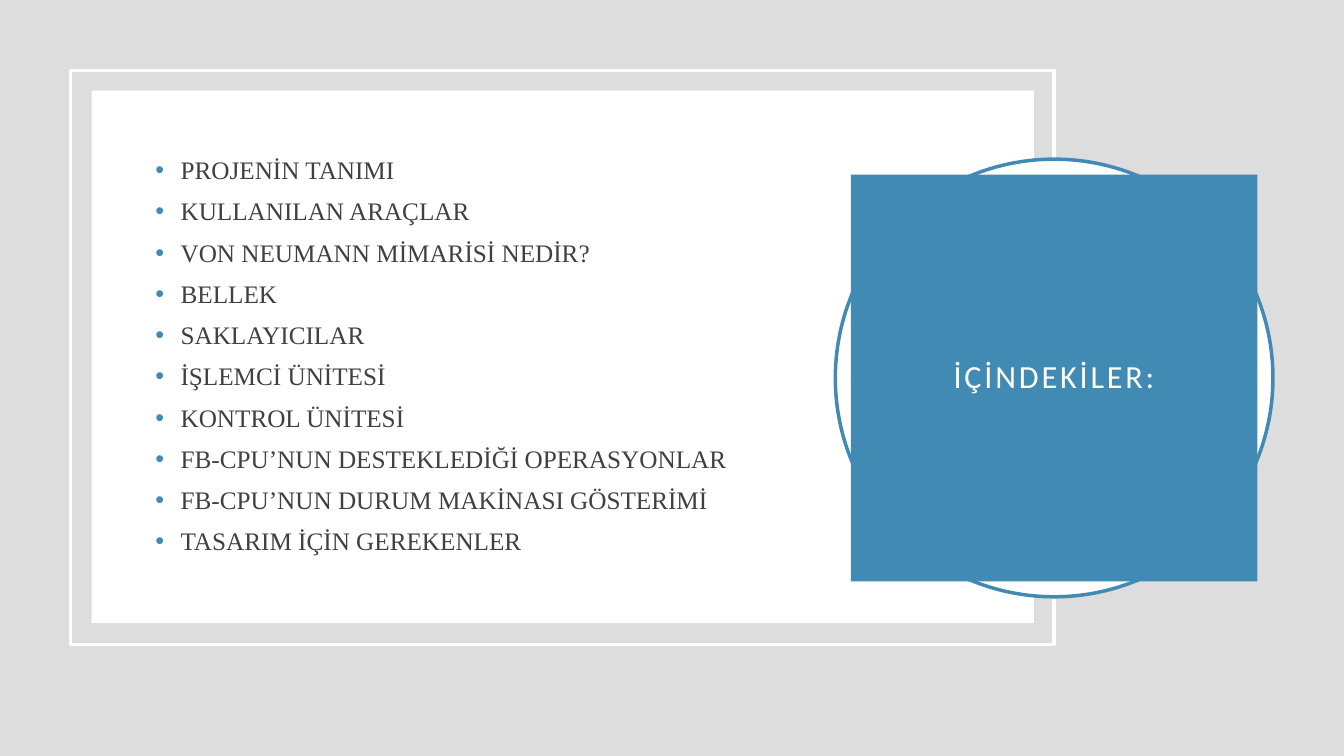
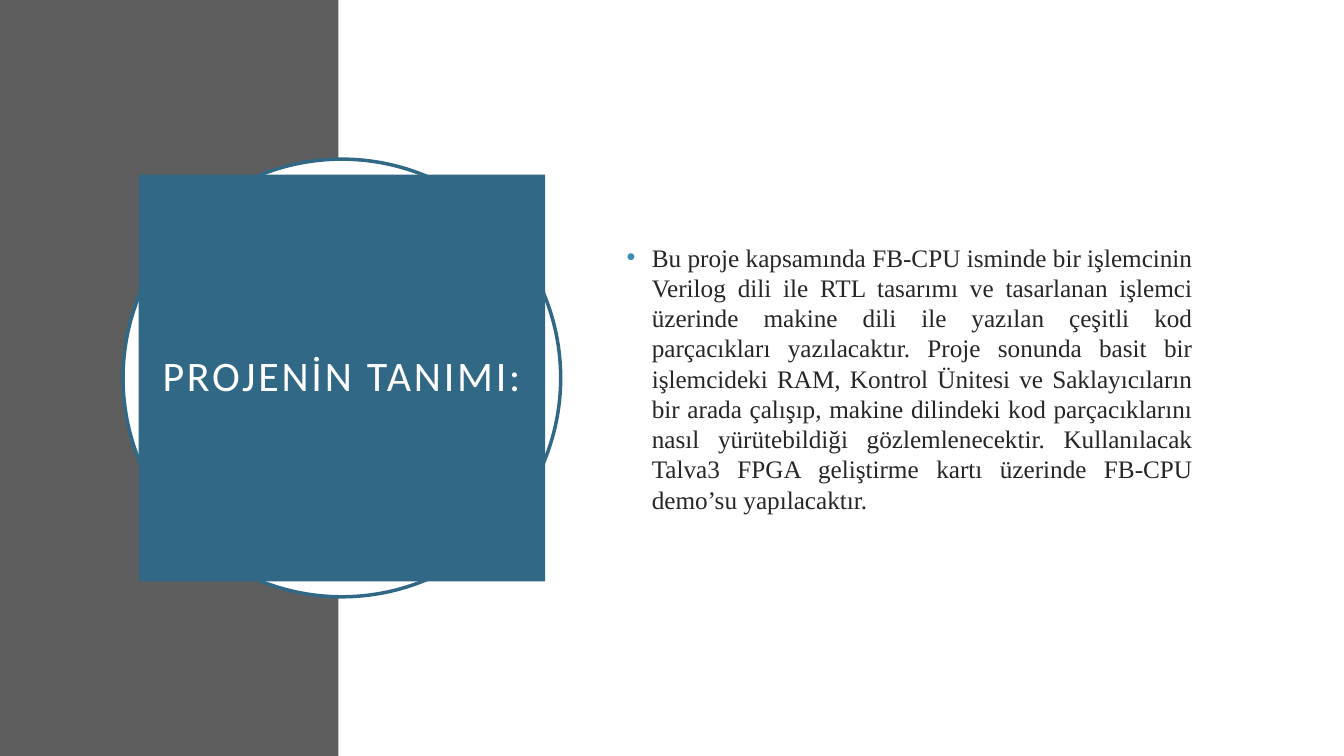
from dataclasses import dataclass

from lxml.etree import SubElement
from pptx import Presentation
from pptx.dml.color import RGBColor
from pptx.enum.shapes import MSO_SHAPE
from pptx.enum.text import MSO_ANCHOR, MSO_AUTO_SIZE, PP_ALIGN
from pptx.oxml.ns import qn
from pptx.util import Inches, Pt

# The slide is a grid of square cells, twelve to the inch.
COLS, ROWS = 160, 90
CELL = Inches(1) / 12

WHITE, GREY, DARK = "FFFFFF", "DDDDDD", "5E5E5E"
BLUE, NAVY = "418AB3", "316886"
HEAD_FONT, BODY_FONT = "Calibri", "Times New Roman"
RING, DISC = 52.1, 48.4
INSET = Inches(0.2)


@dataclass(frozen=True)
class Box:
    col: float
    row: float
    cols: float
    rows: float

    def place(self) -> tuple[int, ...]:
        return tuple(round(n * CELL) for n in (self.col, self.row, self.cols, self.rows))


@dataclass(frozen=True)
class Panel:
    box: Box
    fill: str | None = None
    line: str | None = None
    kind: MSO_SHAPE = MSO_SHAPE.RECTANGLE


@dataclass(frozen=True)
class Badge:
    text: str
    mid: float
    color: str
    size: int


@dataclass(frozen=True)
class Body:
    items: tuple[str, ...]
    box: Box
    color: str
    align: PP_ALIGN
    space: float


@dataclass(frozen=True)
class Page:
    back: str
    panels: tuple[Panel, ...]
    badge: Badge
    body: Body


FRAME = Box(8.4, 8.4, 117.1, 68.3)

PAGES = (
    Page(
        GREY,
        (Panel(FRAME, line=WHITE), Panel(Box(10.9, 10.8, 112.2, 63.4), WHITE)),
        Badge("İÇİNDEKİLER:", FRAME.col + FRAME.cols, BLUE, 23),
        Body(
            (
                "PROJENİN TANIMI",
                "KULLANILAN ARAÇLAR",
                "VON NEUMANN MİMARİSİ NEDİR?",
                "BELLEK",
                "SAKLAYICILAR",
                "İŞLEMCİ ÜNİTESİ",
                "KONTROL ÜNİTESİ",
                "FB-CPU’NUN DESTEKLEDİĞİ OPERASYONLAR",
                "FB-CPU’NUN DURUM MAKİNASI GÖSTERİMİ",
                "TASARIM İÇİN GEREKENLER",
            ),
            Box(17.3, 16.8, 75, 51.4), "404040", PP_ALIGN.LEFT, 0.9,
        ),
    ),
    Page(
        WHITE,
        (Panel(Box(0, 0, 40.3, ROWS), DARK),),
        Badge("PROJENİN TANIMI:", 40.7, NAVY, 30),
        Body(
            (
                "Bu proje kapsamında FB-CPU isminde bir işlemcinin Verilog dili "
                "ile RTL tasarımı ve tasarlanan işlemci üzerinde makine dili ile "
                "yazılan çeşitli kod parçacıkları yazılacaktır. Proje sonunda "
                "basit bir işlemcideki RAM, Kontrol Ünitesi ve Saklayıcıların bir "
                "arada çalışıp, makine dilindeki kod parçacıklarını nasıl "
                "yürütebildiği gözlemlenecektir. Kullanılacak Talva3 FPGA "
                "geliştirme kartı üzerinde FB-CPU demo’su yapılacaktır.",
            ),
            Box(73.4, 18.4, 69.8, 53.2), "262626", PP_ALIGN.JUSTIFY, 1.0,
        ),
    ),
)


def paint(fill, color: str) -> None:
    fill.solid()
    fill.fore_color.rgb = RGBColor.from_string(color)


def center(mid: float, size: float) -> Box:
    """Square around a column, halfway down the slide."""
    return Box(mid - size / 2, (ROWS - size) / 2, size, size)


def move(shape, box: Box) -> None:
    shape.left, shape.top, shape.width, shape.height = box.place()


def style(run, font: str, size: int, color: str) -> None:
    run.font.name, run.font.size = font, Pt(size)
    paint(run.font.fill, color)


def setup(frame) -> None:
    frame.word_wrap = True
    frame.auto_size = MSO_AUTO_SIZE.NONE
    frame.vertical_anchor = MSO_ANCHOR.MIDDLE


def bullet(par, color: str) -> None:
    props = par._p.get_or_add_pPr()
    indent = Inches(0.25)
    props.set("marL", str(indent))
    props.set("indent", str(-indent))
    tint = SubElement(props, qn("a:buClr"))
    SubElement(tint, qn("a:srgbClr"), val=color)
    SubElement(props, qn("a:buFont"), typeface="Arial")
    SubElement(props, qn("a:buChar"), char="•")


def draw_panel(slide, panel: Panel) -> None:
    shape = slide.shapes.add_shape(panel.kind, *panel.box.place())
    shape.shadow.inherit = False
    if panel.fill:
        paint(shape.fill, panel.fill)
    else:
        shape.fill.background()
    if panel.line:
        paint(shape.line.fill, panel.line)
        shape.line.width = Pt(2.5)
    else:
        shape.line.fill.background()


def draw_badge(slide, badge: Badge) -> None:
    """Ring with the slide title on a filled disc inside it."""
    ring = center(badge.mid, RING)
    draw_panel(slide, Panel(ring, WHITE, badge.color, MSO_SHAPE.OVAL))
    title = slide.shapes.title
    move(title, center(badge.mid, DISC))
    geom = SubElement(title._element.spPr, qn("a:prstGeom"), prst="ellipse")
    SubElement(geom, qn("a:avLst"))
    paint(title.fill, badge.color)
    frame = title.text_frame
    frame.text = badge.text
    setup(frame)
    frame.margin_left = frame.margin_right = INSET
    frame.margin_top = frame.margin_bottom = INSET
    par = frame.paragraphs[0]
    par.alignment, par.line_spacing = PP_ALIGN.CENTER, 0.9
    run = par.runs[0]
    style(run, HEAD_FONT, badge.size, WHITE)
    run.font._element.set("spc", "200")


def draw_body(slide, body: Body) -> None:
    shape = slide.placeholders[1]
    move(shape, body.box)
    frame = shape.text_frame
    frame.text = "\n".join(body.items)
    setup(frame)
    for par in frame.paragraphs:
        par.alignment, par.line_spacing = body.align, body.space
        par.space_before = Pt(10)
        bullet(par, BLUE)
        style(par.runs[0], BODY_FONT, 18, body.color)


def draw_page(deck, page: Page) -> None:
    slide = deck.slides.add_slide(deck.slide_layouts[1])
    paint(slide.background.fill, page.back)
    for panel in page.panels:
        draw_panel(slide, panel)
    draw_badge(slide, page.badge)
    draw_body(slide, page.body)
    # Placeholders come first on a new slide, so lift them above the panels.
    tree = slide.shapes._spTree
    for shape in (slide.shapes.title, slide.placeholders[1]):
        tree.append(shape._element)


def main() -> None:
    deck = Presentation()
    deck.slide_width, deck.slide_height = round(COLS * CELL), round(ROWS * CELL)
    for page in PAGES:
        draw_page(deck, page)
    deck.save("out.pptx")


if __name__ == "__main__":
    main()
